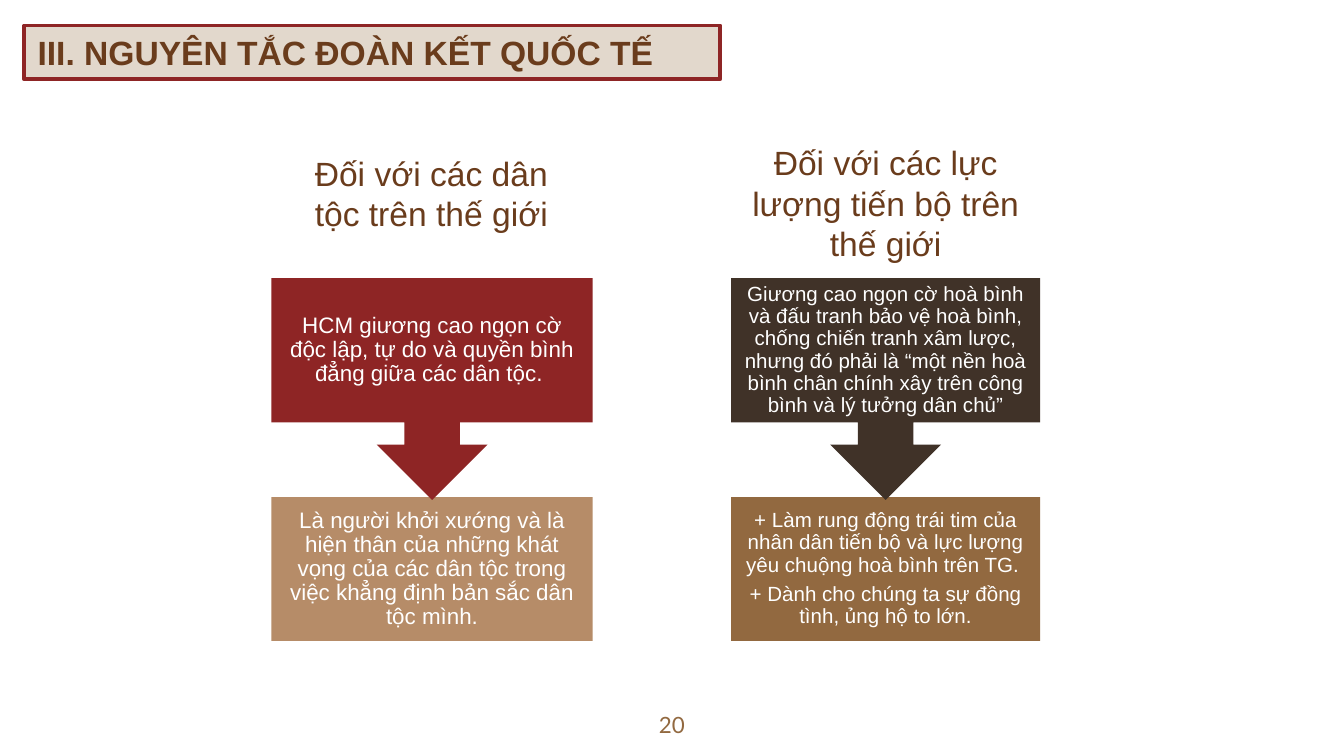
from dataclasses import dataclass

from pptx import Presentation
from pptx.dml.color import RGBColor
from pptx.enum.shapes import MSO_SHAPE
from pptx.enum.text import MSO_ANCHOR, MSO_AUTO_SIZE, PP_ALIGN
from pptx.util import Inches, Pt

RECTANGLE = MSO_SHAPE.RECTANGLE
ARROW_CALLOUT = MSO_SHAPE.DOWN_ARROW_CALLOUT
CENTER, LEFT = PP_ALIGN.CENTER, PP_ALIGN.LEFT
TOP, MIDDLE = MSO_ANCHOR.TOP, MSO_ANCHOR.MIDDLE
SLIDE_WIDTH = 10
SLIDE_HEIGHT = SLIDE_WIDTH * 9 / 16


@dataclass(frozen=True)
class Theme:
    font: str = "Arial"
    number_font: str = "Lato"
    brown: str = "6A3C1C"
    red: str = "8E2525"
    beige: str = "E2D8CC"
    tan: str = "B68C68"
    dark: str = "403228"
    bronze: str = "926940"
    white: str = "FFFFFF"
    heading_size: int = 18
    number_size: int = 12


THEME = Theme()


@dataclass(frozen=True)
class Area:
    left: float
    top: float
    width: float
    height: float

    def lengths(self) -> tuple:
        return tuple(Inches(n) for n in (self.left, self.top, self.width, self.height))


@dataclass(frozen=True)
class Column:
    left: float
    width: float
    heading: str
    heading_area: Area
    callout_text: str
    callout_color: str
    result_texts: tuple
    result_color: str
    text_size: int


COLUMNS = (
    Column(2.02, 2.39,
           "Đối với các dân tộc trên thế giới", Area(2.06, 1.09, 2.3, 0.94),
           "HCM giương cao ngọn cờ độc lập, tự do và quyền bình đẳng giữa các dân tộc. ",
           THEME.red,
           ("Là người khởi xướng và là hiện thân của những khát vọng của các dân tộc "
            "trong việc khẳng định bản sắc dân tộc mình.",),
           THEME.tan, 12),
    Column(5.44, 2.3,
           "Đối với các lực lượng tiến bộ trên thế giới", Area(5.44, 1.01, 2.3, 1.31),
           "Giương cao ngọn cờ hoà bình và đấu tranh bảo vệ hoà bình, chống chiến tranh "
           "xâm lược, nhưng đó phải là “một nền hoà bình chân chính xây trên công bình "
           "và lý tưởng dân chủ”",
           THEME.dark,
           ("+ Làm rung động trái tim của nhân dân tiến bộ và lực lượng yêu chuộng "
            "hoà bình trên TG. ",
            "+ Dành cho chúng ta sự đồng tình, ủng hộ to lớn."),
           THEME.bronze, 11),
)


def write_text(shape, texts: tuple, size: int, color: str, *, font: str = THEME.font,
               align=CENTER, anchor=TOP, bold: bool = False,
               inset: tuple = (0.1, 0.05), line_spacing: float = 1.0,
               space_after: int = 0) -> None:
    frame = shape.text_frame
    frame.word_wrap = True
    frame.auto_size = MSO_AUTO_SIZE.NONE
    frame.vertical_anchor = anchor
    frame.margin_left = frame.margin_right = Inches(inset[0])
    frame.margin_top = frame.margin_bottom = Inches(inset[1])
    frame.text = "\n".join(texts)
    for paragraph in frame.paragraphs:
        paragraph.alignment = align
        paragraph.line_spacing = line_spacing
        paragraph.space_after = Pt(space_after)
        paragraph.font.name = font
        paragraph.font.size = Pt(size)
        paragraph.font.bold = bold
        paragraph.font.color.rgb = RGBColor.from_string(color)


def add_block(slide, kind, area: Area, fill: str, texts: tuple, size: int) -> None:
    shape = slide.shapes.add_shape(kind, *area.lengths())
    shape.shadow.inherit = False
    shape.fill.solid()
    shape.fill.fore_color.rgb = RGBColor.from_string(fill)
    shape.line.fill.background()
    write_text(shape, texts, size, THEME.white, anchor=MIDDLE,
               inset=(0.09, 0.09), line_spacing=0.9, space_after=4)


def add_column(slide, column: Column) -> None:
    # The result goes first so that the arrow tip lies over it
    add_block(slide, RECTANGLE, Area(column.left, 3.7, column.width, 1.07),
              column.result_color, column.result_texts, column.text_size)
    add_block(slide, ARROW_CALLOUT, Area(column.left, 2.07, column.width, 1.65),
              column.callout_color, (column.callout_text,), column.text_size)
    heading = slide.shapes.add_textbox(*column.heading_area.lengths())
    write_text(heading, (column.heading,), THEME.heading_size, THEME.brown)


def format_title(slide) -> None:
    title = slide.shapes.title
    title.left, title.top, title.width, title.height = Area(0.18, 0.19, 5.18, 0.4).lengths()
    title.fill.solid()
    title.fill.fore_color.rgb = RGBColor.from_string(THEME.beige)
    title.line.color.rgb = RGBColor.from_string(THEME.red)
    title.line.width = Pt(2)
    write_text(title, ("III. NGUYÊN TẮC ĐOÀN KẾT QUỐC TẾ",), THEME.heading_size,
               THEME.brown, align=LEFT, anchor=MIDDLE, bold=True)


def main() -> None:
    presentation = Presentation()
    presentation.slide_width = Inches(SLIDE_WIDTH)
    presentation.slide_height = Inches(SLIDE_HEIGHT)
    slide = presentation.slides.add_slide(presentation.slide_layouts[5])

    # Title bar
    format_title(slide)

    # Two columns: heading, arrow callout, result
    for column in COLUMNS:
        add_column(slide, column)

    # Page number
    number = slide.shapes.add_textbox(*Area(4.7, 5.19, 0.6, 0.43).lengths())
    write_text(number, ("20",), THEME.number_size, THEME.bronze,
               font=THEME.number_font, inset=(0.1, 0.1))

    presentation.save("out.pptx")


if __name__ == "__main__":
    main()
